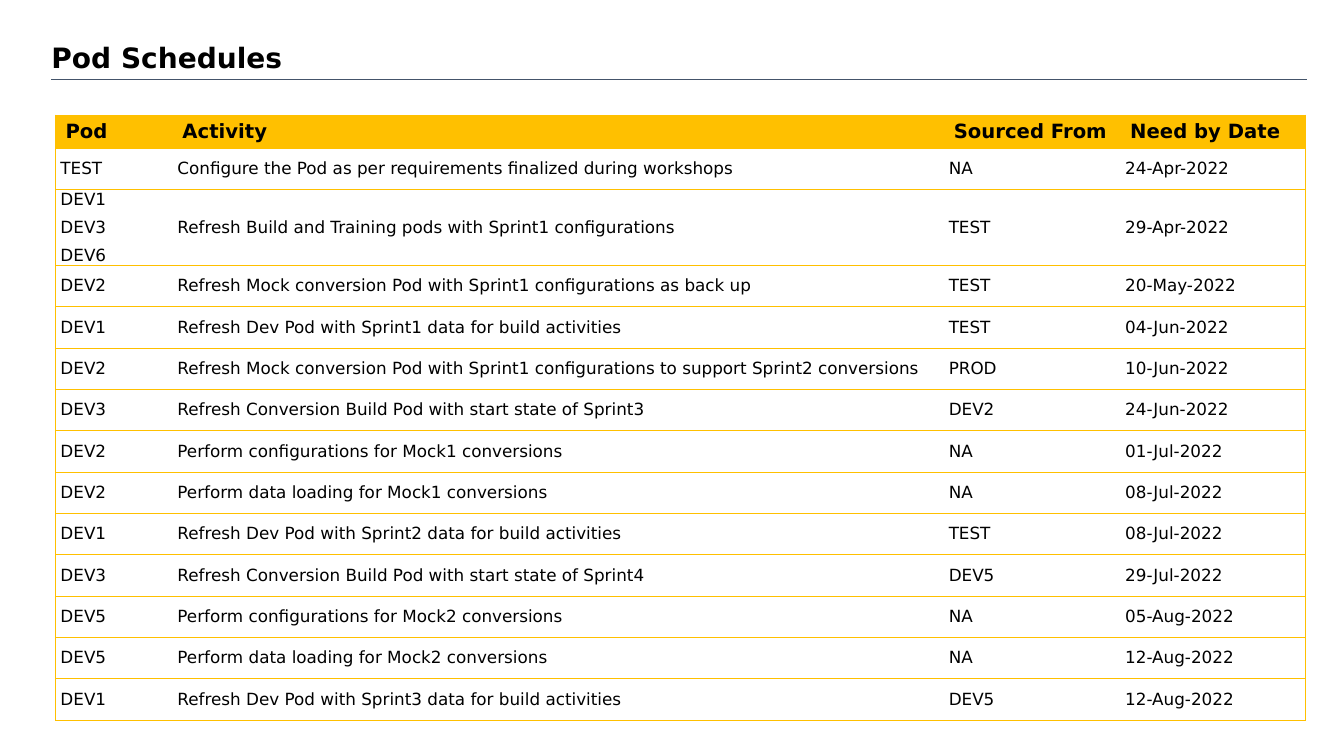
"""Build the Pod Schedules slide with a dated activity table."""
from dataclasses import dataclass
from typing import NamedTuple

from lxml import etree
from pptx import Presentation
from pptx import util as u
from pptx.dml.color import RGBColor
from pptx.enum import shapes, text
from pptx.oxml import ns

SCALE = 9144
NO_GRID_STYLE = "{2D5ABB26-0587-4C30-8999-92F81FD0307C}"


@dataclass(frozen=True)
class Theme:
    font: str = "DejaVu Sans"
    ink: str = "000000"
    gold: str = "FFC000"
    rule: str = "44546A"
    title_size: int = 20
    header_size: int = 14
    body_size: int = 12
    line_width: float = 0.5
    body_gap: int = 3


class Activity(NamedTuple):
    pods: str
    task: str
    source: str
    need_by: str


THEME = Theme()
HEADERS = Activity("Pod", "Activity", "Sourced From", "Need by Date")
ACTIVITIES = [
    Activity("TEST", "Configure the Pod as per requirements finalized during workshops", "NA", "24-Apr-2022"),
    Activity("DEV1 DEV3 DEV6", "Refresh Build and Training pods with Sprint1 configurations", "TEST", "29-Apr-2022"),
    Activity("DEV2", "Refresh Mock conversion Pod with Sprint1 configurations as back up", "TEST", "20-May-2022"),
    Activity("DEV1", "Refresh Dev Pod with Sprint1 data for build activities", "TEST", "04-Jun-2022"),
    Activity("DEV2", "Refresh Mock conversion Pod with Sprint1 configurations to support Sprint2 conversions", "PROD",
             "10-Jun-2022"),
    Activity("DEV3", "Refresh Conversion Build Pod with start state of Sprint3", "DEV2", "24-Jun-2022"),
    Activity("DEV2", "Perform configurations for Mock1 conversions", "NA", "01-Jul-2022"),
    Activity("DEV2", "Perform data loading for Mock1 conversions", "NA", "08-Jul-2022"),
    Activity("DEV1", "Refresh Dev Pod with Sprint2 data for build activities", "TEST", "08-Jul-2022"),
    Activity("DEV3", "Refresh Conversion Build Pod with start state of Sprint4", "DEV5", "29-Jul-2022"),
    Activity("DEV5", "Perform configurations for Mock2 conversions", "NA", "05-Aug-2022"),
    Activity("DEV5", "Perform data loading for Mock2 conversions", "NA", "12-Aug-2022"),
    Activity("DEV1", "Refresh Dev Pod with Sprint3 data for build activities", "DEV5", "12-Aug-2022"),
]
COLUMN_WIDTHS = (116, 765, 175, 184)
HEADER_HEIGHT, ROW_HEIGHT, TALL_HEIGHT = 33, 41, 75


def px(length: int) -> u.Emu:
    return u.Emu(length * SCALE)


def add_span(para, words: str, size: int, bold: bool) -> None:
    span = para.add_run()
    span.text = words
    span.font.name = THEME.font
    span.font.size = u.Pt(size)
    span.font.bold = bold
    span.font.color.rgb = RGBColor.from_string(THEME.ink)


def add_title(page, words: str) -> None:
    box = page.shapes.title
    box.left, box.top, box.width, box.height = map(px, (51, 44, 1231, 37))
    frame = box.text_frame
    frame.margin_left = frame.margin_top = frame.margin_right = frame.margin_bottom = 0
    frame.vertical_anchor = text.MSO_ANCHOR.TOP
    frame.auto_size = text.MSO_AUTO_SIZE.NONE
    frame.word_wrap = True
    para = frame.paragraphs[0]
    para.alignment = text.PP_ALIGN.LEFT
    para.line_spacing = 0.9
    add_span(para, words, THEME.title_size, True)


def add_rule(page) -> None:
    rule = page.shapes.add_connector(shapes.MSO_CONNECTOR.STRAIGHT, px(51), px(79), px(1296), px(79))
    rule.line.color.rgb = RGBColor.from_string(THEME.rule)
    rule.line.width = u.Pt(THEME.line_width)
    etree.SubElement(rule._element.spPr, ns.qn("a:effectLst"))


def set_borders(cell, sides: str) -> None:
    properties = cell._tc.get_or_add_tcPr()
    for index, side in enumerate(sides):
        border = etree.Element(ns.qn(f"a:ln{side}"), w=str(u.Pt(THEME.line_width)))
        fill = etree.SubElement(border, ns.qn("a:solidFill"))
        etree.SubElement(fill, ns.qn("a:srgbClr"), val=THEME.gold)
        properties.insert(index, border)


def fill_cell(cell, lines: list[str], header: bool) -> None:
    cell.vertical_anchor = text.MSO_ANCHOR.MIDDLE
    if header:
        cell.fill.solid()
        cell.fill.fore_color.rgb = RGBColor.from_string(THEME.gold)
    else:
        cell.fill.background()
        cell.margin_left = cell.margin_right = px(5)
        cell.margin_top = cell.margin_bottom = 0
    for index, words in enumerate(lines):
        frame = cell.text_frame
        para = frame.add_paragraph() if index else frame.paragraphs[0]
        if not header:
            para.space_before = u.Pt(THEME.body_gap if index else 0)
            para.space_after = u.Pt(THEME.body_gap)
        add_span(para, words, THEME.header_size if header else THEME.body_size, header)


def add_schedule(page) -> None:
    rows = [HEADERS, *ACTIVITIES]
    heights = [HEADER_HEIGHT] + [TALL_HEIGHT if " " in row.pods else ROW_HEIGHT for row in ACTIVITIES]
    frame = page.shapes.add_table(len(rows), len(COLUMN_WIDTHS), px(55), px(114),
                                  px(sum(COLUMN_WIDTHS)), px(sum(heights)))
    table = frame.table
    table.horz_banding = False
    table._tbl.tblPr.find(ns.qn("a:tableStyleId")).text = NO_GRID_STYLE
    for column, width in zip(table.columns, COLUMN_WIDTHS):
        column.width = px(width)
    last = len(COLUMN_WIDTHS) - 1
    for row_index, (row, height) in enumerate(zip(rows, heights)):
        table.rows[row_index].height = px(height)
        for column_index, words in enumerate(row):
            cell = table.cell(row_index, column_index)
            lines = words.split() if column_index == 0 else [words]
            fill_cell(cell, lines, row_index == 0)
            sides = ("L" if column_index == 0 else "") + ("R" if column_index == last else "") + "TB"
            set_borders(cell, sides)


def main() -> None:
    deck = Presentation()
    deck.slide_width, deck.slide_height = px(1333), px(750)
    page = deck.slides.add_slide(deck.slide_layouts[5])
    add_title(page, "Pod Schedules")
    add_rule(page)
    add_schedule(page)
    deck.save("out.pptx")


if __name__ == "__main__":
    main()
